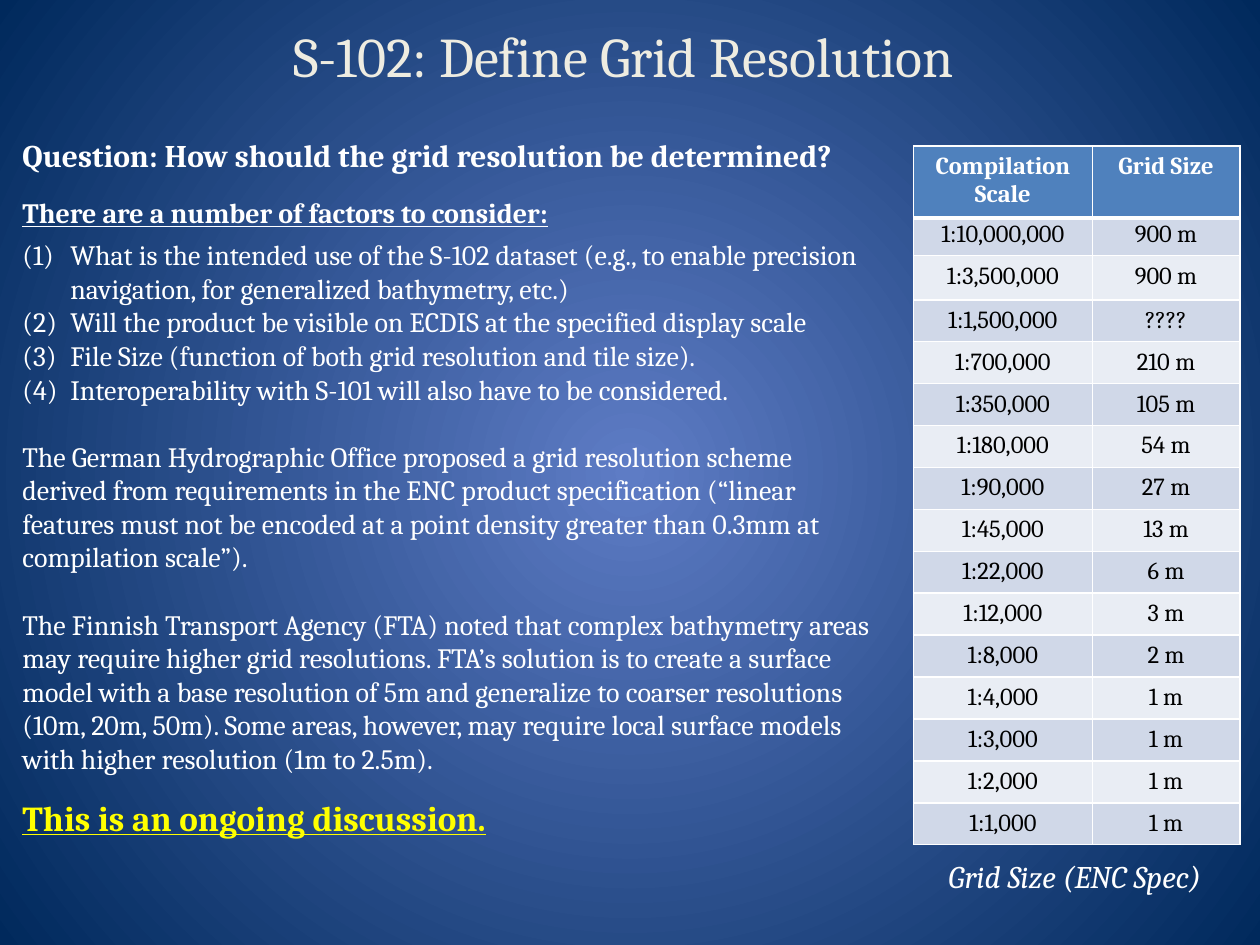
from pptx import Presentation
from pptx.dml.color import RGBColor
from pptx.enum.text import MSO_ANCHOR, MSO_AUTO_SIZE, PP_ALIGN
from pptx.oxml.ns import qn
from pptx.util import Inches, Pt
from lxml import etree

MID, GROW = MSO_ANCHOR.MIDDLE, MSO_AUTO_SIZE.SHAPE_TO_FIT_TEXT
LEFT, CENTER = PP_ALIGN.LEFT, PP_ALIGN.CENTER

THEME = {
    "font": "Cambria",
    "glow": "5E7CC5", "navy": "00295C", "cream": "EEECE1",
    "white": "FFFFFF", "black": "000000", "yellow": "FFFF00",
    "head": "4F81BD", "bands": ("E9EDF4", "D0D8E8"),
    "title": 32, "close": 20, "lead": 18, "body": 16, "cell": 14,
}

deck = Presentation()
deck.slide_width, deck.slide_height = Inches(10), Inches(7.5)
COL, ROW = deck.slide_width // 100, deck.slide_height // 75


def grid(x, y, w, h):
    """Turn columns and rows into left, top, width and height."""
    return [int(n) for n in (x * COL, y * ROW, w * COL, h * ROW)]


def write(par, text, size, color="white", align=LEFT, **marks):
    """Fill a paragraph with text, in the theme's size and colour."""
    par.text, par.alignment = text, align
    font = par.runs[0].font
    looks = {"name": THEME["font"], "size": Pt(THEME[size]), **marks}
    for key, value in looks.items():
        setattr(font, key, value)
    font.color.rgb = RGBColor.from_string(THEME[color])


slide = deck.slides.add_slide(deck.slide_layouts[5])

# Background: radial glow from the centre
fill = slide.background.fill
fill.gradient()
for stop, name in zip(fill.gradient_stops, ("glow", "navy")):
    stop.color.rgb = RGBColor.from_string(THEME[name])
grad = slide.background._cSld.find(".//" + qn("a:gradFill"))
grad.remove(grad.find(qn("a:lin")))
glow = etree.SubElement(grad, qn("a:path"), path="circle")
etree.SubElement(glow, qn("a:fillToRect"), dict.fromkeys("ltrb", "50000"))

# Title
title = slide.shapes.title
title.left, title.top, title.width, title.height = grid(0, 0, 100, 8.7)
title.text_frame.vertical_anchor = MID
write(title.text_frame.paragraphs[0], "S-102: Define Grid Resolution ",
      "title", "cream", CENTER)

# Table of grid sizes
sizes = [
    ("Compilation Scale", "Grid Size"),
    ("1:10,000,000", "900 m"), ("1:3,500,000", "900 m"),
    ("1:1,500,000", "????"), ("1:700,000", "210 m"),
    ("1:350,000", "105 m"), ("1:180,000", "54 m"),
    ("1:90,000", "27 m"), ("1:45,000", "13 m"),
    ("1:22,000", "6 m"), ("1:12,000", "3 m"),
    ("1:8,000", "2 m"), ("1:4,000", "1 m"), ("1:3,000", "1 m"),
    ("1:2,000", "1 m"), ("1:1,000", "1 m"),
]
table = slide.shapes.add_table(
    len(sizes), 2, *grid(72.5, 11.6, 25.9, 55.9)).table
for col, span in zip(table.columns, (14.2, 11.7)):
    col.width = int(span * COL)
tall = [5.7, 3, 3.5] + [3.33] * (len(sizes) - 3)
for r, pair in enumerate(sizes):
    table.rows[r].height = int(tall[r] * ROW)
    for c, text in enumerate(pair):
        cell = table.cell(r, c)
        props = cell._tc.get_or_add_tcPr()
        for side in "LRTB":
            thick = (r, side) in ((0, "B"), (1, "T"))
            line = etree.SubElement(props, qn("a:ln" + side),
                                    w=str(Pt(3 if thick else 1)))
            paint = etree.SubElement(line, qn("a:solidFill"))
            etree.SubElement(paint, qn("a:srgbClr"), val=THEME["white"])
        cell.fill.solid()
        shade = THEME["bands"][r % 2] if r else THEME["head"]
        cell.fill.fore_color.rgb = RGBColor.from_string(shade)
        if r == 1:
            cell.margin_top = cell.margin_bottom = Inches(0.02)
        write(cell.text_frame.paragraphs[0], text, "cell",
              "black" if r else "white", CENTER, bold=r == 0)

# Discussion: text, space before, numbered, format
plain = {"size": "body"}
notes = [
    ("Question: How should the grid resolution be determined?", 0, False,
     {"size": "lead", "bold": True}),
    ("There are a number of factors to consider:", 12.6, False,
     {"size": "body", "bold": True, "underline": True}),
    ("What is the intended use of the S-102 dataset (e.g., to enable "
     "precision navigation, for generalized bathymetry, etc.)",
     4.8, True, plain),
    ("Will the product be visible on ECDIS at the specified display scale",
     0, True, plain),
    ("File Size (function of both grid resolution and tile size).",
     0, True, plain),
    ("Interoperability with S-101 will also have to be considered.",
     0, True, plain),
    ("The German Hydrographic Office proposed a grid resolution scheme "
     "derived from requirements in the ENC product specification (“linear "
     "features must not be encoded at a point density greater than 0.3mm "
     "at compilation scale”).", 19.2, False, plain),
    ("The Finnish Transport Agency (FTA) noted that complex bathymetry "
     "areas may require higher grid resolutions. FTA’s solution is to "
     "create a surface model with a base resolution of 5m and generalize "
     "to coarser resolutions (10m, 20m, 50m). Some areas, however, may "
     "require local surface models with higher resolution (1m to 2.5m).",
     19.2, False, plain),
    ("This is an ongoing discussion.", 12, False,
     {"size": "close", "color": "yellow", "bold": True, "underline": True}),
]
caption = [("Grid Size (ENC Spec)", 0, False,
            {"size": "lead", "align": CENTER, "italic": True})]
boxes = [((0.8, 10.3, 70, 61), notes), ((72.3, 67.5, 26, 4), caption)]
for spot, lines in boxes:
    frame = slide.shapes.add_textbox(*grid(*spot)).text_frame
    frame.word_wrap, frame.auto_size = True, GROW
    for i, (text, gap, listed, look) in enumerate(lines):
        par = frame.add_paragraph() if i else frame.paragraphs[0]
        if gap:
            par.space_before = Pt(gap)
        if listed:
            props = par._p.get_or_add_pPr()
            dent = Inches(0.38)
            props.set("marL", str(dent))
            props.set("indent", str(-dent))
            etree.SubElement(props, qn("a:buFont"), typeface="+mj-lt")
            etree.SubElement(props, qn("a:buAutoNum"),
                             type="arabicParenBoth")
        write(par, text, **look)

deck.save("out.pptx")
